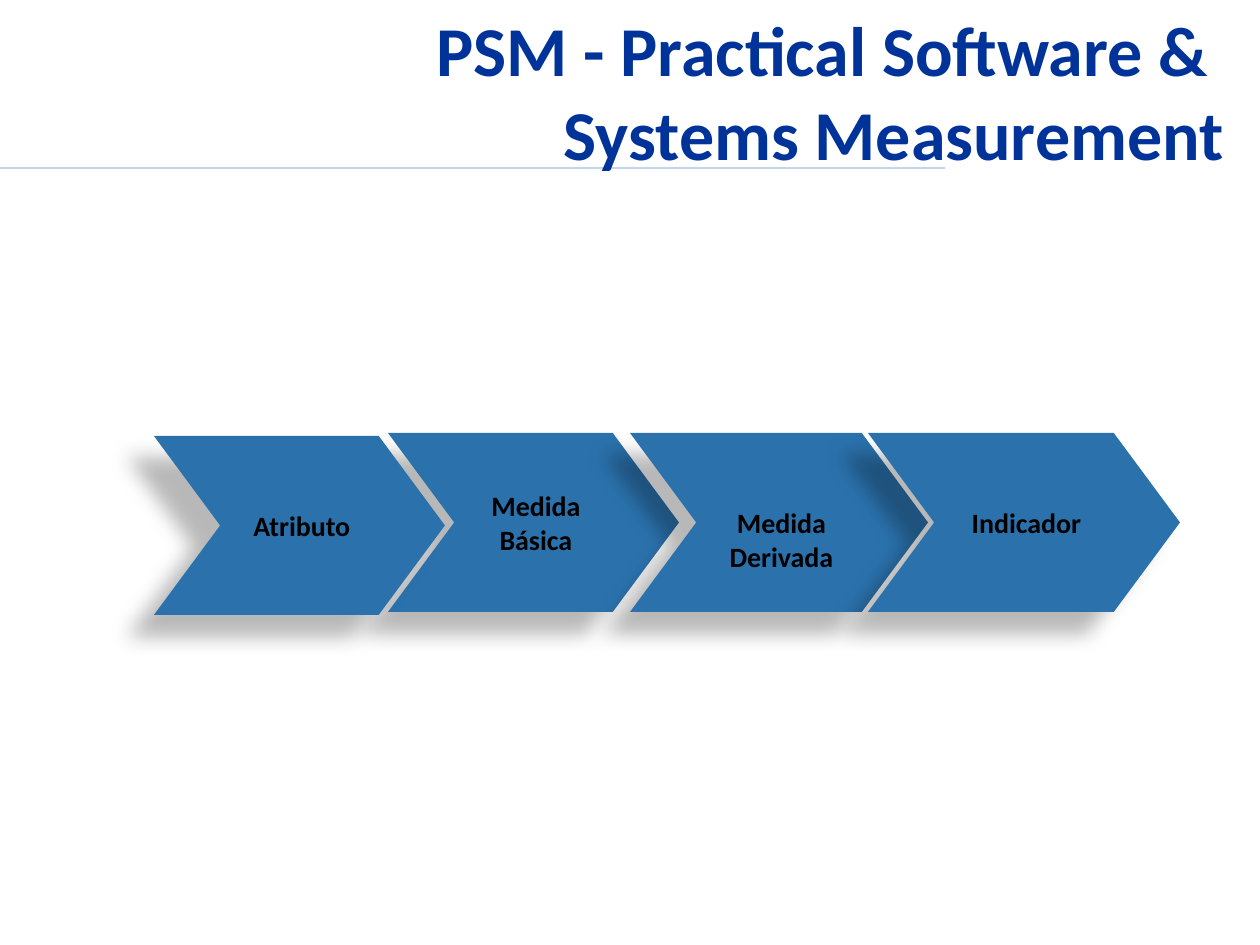
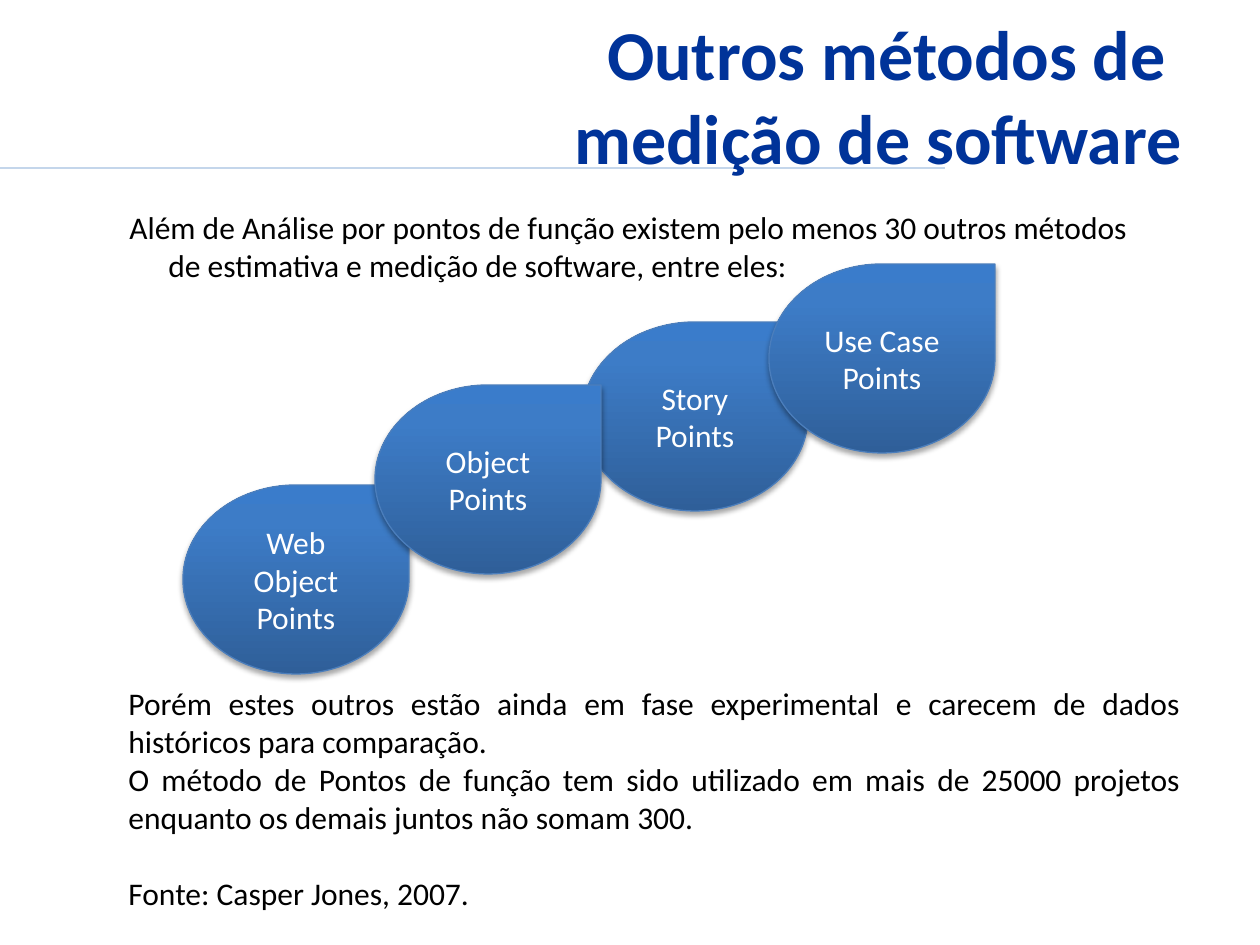
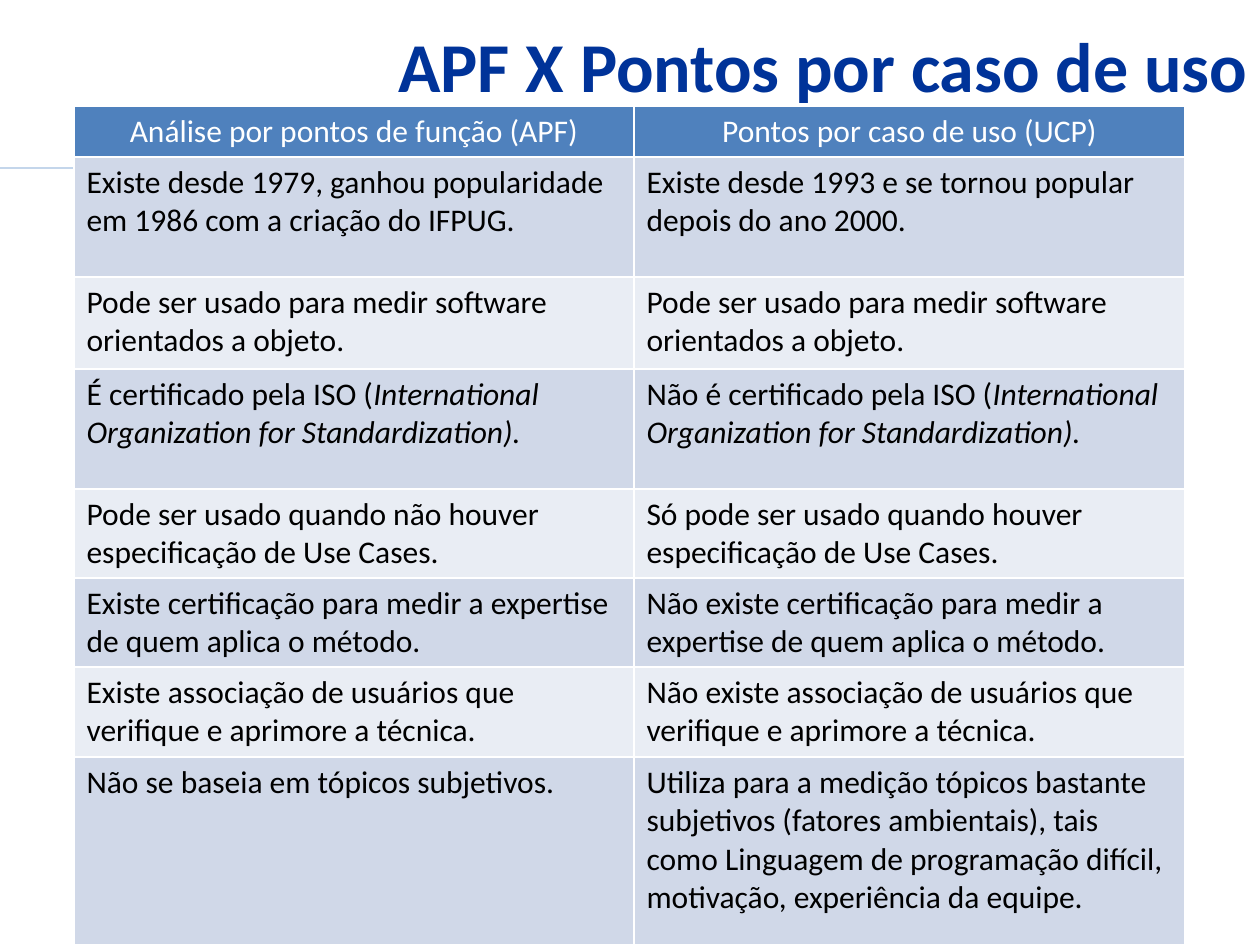
import copy
import pptx
import pptx.util
import pptx.dml.color
import pptx.enum.shapes
import pptx.enum.text
import pptx.oxml
import pptx.oxml.ns
from lxml import etree

Pt = pptx.util.Pt
qn = pptx.oxml.ns.qn
RGB = pptx.dml.color.RGBColor.from_string
KIND = pptx.enum.shapes.MSO_SHAPE
ALIGN = pptx.enum.text.PP_ALIGN
ANCHOR = pptx.enum.text.MSO_ANCHOR
PX = 914400 / 126
FONT = "Calibri"
HUES = {
    "title": "003399", "rule": "C4D6EB", "text": "000000", "white": "FFFFFF",
    "arrow": "2B72AD", "edge": "4B7EBC", "low": "2F5F99", "mid": "3D7CC7",
    "high": "3A7CCB", "head": "4F81BD", "odd": "D0D8E8", "even": "E9EDF4",
}


def style(frame, size, hue, align, bold=False):
    frame.word_wrap = True
    for par in frame.paragraphs:
        par.alignment = align
        for run in par.runs:
            run.font.name, run.font.size = FONT, Pt(size)
            run.font.bold = bold
            run.font.color.rgb = RGB(HUES[hue])


def shade(shape, alpha, blur, dist, angle):
    shape.shadow.inherit = False
    effects = shape._element.spPr.find(qn("a:effectLst"))
    outer = etree.SubElement(
        effects, qn("a:outerShdw"), blurRad=str(Pt(blur)), dist=str(Pt(dist)),
        dir=str(angle * 60000), algn="ctr", rotWithShape="0")
    color = etree.SubElement(outer, qn("a:srgbClr"), val=HUES["text"])
    etree.SubElement(color, qn("a:alpha"), val=str(alpha * 1000))


deck = pptx.Presentation()
deck.slide_width, deck.slide_height = int(1260 * PX), int(945 * PX)

# Shared rule and title of every slide
titles = [
    ("PSM - Practical Software & \nSystems Measurement", (84, 0, 1152, 181)),
    ("Outros métodos de \nmedição de software", (375, 55, 819, 79)),
    ("APF X Pontos por caso de uso", (74, 16, 1186, 97)),
]
slides = []
for text, spot in titles:
    slide = deck.slides.add_slide(deck.slide_layouts[6])
    rule = slide.shapes.add_connector(
        pptx.enum.shapes.MSO_CONNECTOR.STRAIGHT,
        0, int(168 * PX), int(945 * PX), int(168 * PX))
    rule.line.color.rgb = RGB(HUES["rule"])
    rule.line.width = Pt(0.75)
    etree.SubElement(rule._element.spPr, qn("a:effectLst"))
    title = slide.shapes.add_textbox(*(int(n * PX) for n in spot))
    title.text_frame.text = text
    title.text_frame.vertical_anchor = ANCHOR.MIDDLE
    style(title.text_frame, 40, "title", ALIGN.RIGHT, True)
    slides.append(slide)
chain, methods, versus = slides

# Chain of measures: label, left, top, width, top inset
steps = [
    ("Medida Básica", 388, 433, 291, 0),
    ("Medida Derivada", 630, 433, 298, 34),
    ("Indicador", 868, 433, 312, 0),
    ("Atributo", 154, 436, 291, 0),
]
for text, left, top, width, inset in steps:
    arrow = chain.shapes.add_shape(
        KIND.CHEVRON, *(int(n * PX) for n in (left, top, width, 179)))
    arrow.adjustments[0] = 0.37
    arrow.fill.solid()
    arrow.fill.fore_color.rgb = RGB(HUES["arrow"])
    arrow.line.fill.background()
    shade(arrow, 28, 11.8, 19.7, 141)
    frame = arrow.text_frame
    frame.text = text
    frame.vertical_anchor = ANCHOR.MIDDLE
    frame.margin_left, frame.margin_top = int(5 * PX), int(inset * PX)
    frame.margin_right = frame.margin_bottom = 0
    style(frame, 16, "text", ALIGN.CENTER, True)

# Introduction with a hanging indent
intro = methods.shapes.add_textbox(
    *(int(n * PX) for n in (117, 202, 1042, 74)))
intro.text_frame.text = (
    "Além de Análise por pontos de função existem pelo menos 30 outros métodos "
    "de estimativa e medição de software, entre eles:")
style(intro.text_frame, 18, "text", ALIGN.LEFT)
props = intro.text_frame.paragraphs[0]._p.get_or_add_pPr()
props.set("marL", str(int(39 * PX)))
props.set("indent", str(int(-39 * PX)))

# Rising drops, one per method
drops = [
    ("Story Points", 582, 322), ("Web Object Points", 183, 485),
    ("Object Points", 375, 385), ("Use Case Points", 769, 264),
]
for text, left, top in drops:
    drop = methods.shapes.add_shape(
        KIND.TEAR, *(int(n * PX) for n in (left, top, 226, 189)))
    drop.fill.gradient()
    drop.fill.gradient_angle = 90
    stops = drop._element.spPr.find(".//" + qn("a:gsLst"))
    stops.append(copy.deepcopy(stops[0]))
    marks = [(0, "low"), (0.8, "mid"), (1, "high")]
    for stop, (place, hue) in zip(drop.fill.gradient_stops, marks):
        stop.position = place
        stop.color.rgb = RGB(HUES[hue])
    drop.line.color.rgb = RGB(HUES["edge"])
    drop.line.width = Pt(0.75)
    shade(drop, 35, 3.1, 1.8, 90)
    drop.text_frame.text = text
    drop.text_frame.vertical_anchor = ANCHOR.MIDDLE
    style(drop.text_frame, 18, "white", ALIGN.CENTER)

# Closing remarks and reference
notes = methods.shapes.add_textbox(
    *(int(n * PX) for n in (116, 678, 1077, 243)))
notes.text_frame.text = "\n".join([
    "Porém estes outros estão ainda em fase experimental e carecem de dados "
    "históricos para comparação.",
    "O método de Pontos de função tem sido utilizado em mais de 25000 projetos "
    "enquanto os demais juntos não somam 300.",
    "Fonte: Casper Jones, 2007.",
])
style(notes.text_frame, 18, "text", ALIGN.JUSTIFY)
notes.text_frame.paragraphs[2].space_before = Pt(22)

# Comparison table; text after | is italic
rows = [
    (51, "Análise por pontos de função (APF)", "Pontos por caso de uso (UCP)"),
    (120, "Existe desde 1979, ganhou popularidade em 1986 com a criação do IFPUG.",
     "Existe desde 1993 e se tornou popular depois do ano 2000."),
    (92, "Pode ser usado para medir software orientados a objeto.",
     "Pode ser usado para medir software orientados a objeto."),
    (120, "É certificado pela ISO (|International Organization for Standardization).",
     "Não é certificado pela ISO (|International Organization for Standardization)."),
    (89, "Pode ser usado quando não houver especificação de Use Cases.",
     "Só pode ser usado quando houver especificação de Use Cases."),
    (89, "Existe certificação para medir a expertise de quem aplica o método.",
     "Não existe certificação para medir a expertise de quem aplica o método."),
    (90, "Existe associação de usuários que verifique e aprimore a técnica.",
     "Não existe associação de usuários que verifique e aprimore a técnica."),
    (188, "Não se baseia em tópicos subjetivos.",
     "Utiliza para a medição tópicos bastante subjetivos (fatores ambientais), "
     "tais como Linguagem de programação difícil, motivação, experiência da equipe."),
]
table = versus.shapes.add_table(
    len(rows), 2, *(int(n * PX) for n in (74, 106, 1111, 839))).table
for col, width in zip(table.columns, (560, 551)):
    col.width = int(width * PX)
for r, (height, *texts) in enumerate(rows):
    table.rows[r].height = int(height * PX)
    for c, text in enumerate(texts):
        cell = table.cell(r, c)
        for side in ("lnL", "lnR", "lnT", "lnB"):
            line = etree.SubElement(
                cell._tc.get_or_add_tcPr(), qn("a:" + side), w=str(Pt(1)))
            fill = etree.SubElement(line, qn("a:solidFill"))
            etree.SubElement(fill, qn("a:srgbClr"), val=HUES["white"])
        cell.fill.solid()
        hue = "head" if r == 0 else "odd" if r % 2 else "even"
        cell.fill.fore_color.rgb = RGB(HUES[hue])
        plain, _, slant = text.partition("|")
        par = cell.text_frame.paragraphs[0]
        par.text = plain
        if slant:
            run = par.add_run()
            run.text = slant
            run.font.italic = True
        style(cell.text_frame, 18, "text" if r else "white",
              ALIGN.LEFT if r else ALIGN.CENTER)

deck.save("out.pptx")
